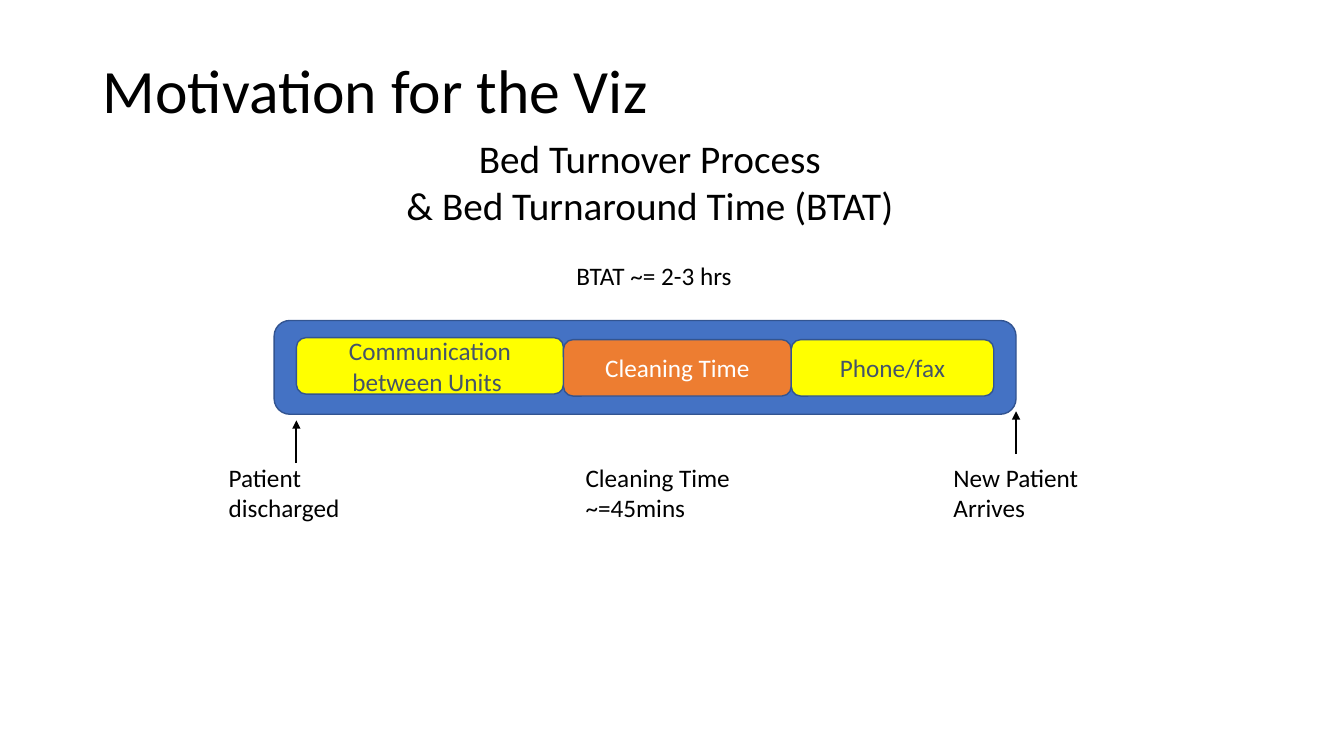
from dataclasses import dataclass

import pptx
import pptx.dml.color
import pptx.enum.shapes
import pptx.enum.text
import pptx.oxml
import pptx.oxml.ns
import pptx.util

ALIGN = pptx.enum.text.PP_ALIGN
ANCHOR = pptx.enum.text.MSO_ANCHOR


@dataclass(frozen=True)
class Theme:
    font: str = "Calibri"
    title_size: int = 44
    headline_size: int = 28
    body_size: int = 18
    ink: str = "000000"
    band: str = "4472C4"
    outline: str = "325491"
    waiting: str = "FFFF00"
    waiting_ink: str = "44546A"
    cleaning: str = "ED7D31"
    cleaning_ink: str = "FFFFFF"


@dataclass(frozen=True)
class Box:
    left: int
    top: int
    width: int
    height: int

    def point(self, across, down):
        return (
            round(self.left + self.width * across / 100),
            round(self.top + self.height * down / 100),
        )

    def region(self, left, top, width, height):
        return Box(
            *self.point(left, top),
            round(self.width * width / 100),
            round(self.height * height / 100),
        )

    def bounds(self):
        return self.left, self.top, self.width, self.height


THEME = Theme()


def color(value):
    return pptx.dml.color.RGBColor.from_string(value)


def write(shape, lines, size, ink, align, anchor):
    frame = shape.text_frame
    frame.word_wrap = True
    frame.vertical_anchor = anchor
    frame.text = "\n".join(lines)
    for paragraph in frame.paragraphs:
        paragraph.alignment = align
        paragraph.font.name = THEME.font
        paragraph.font.size = pptx.util.Pt(size)
        paragraph.font.color.rgb = color(ink)


def add_label(slide, box, lines, size=THEME.body_size, align=ALIGN.LEFT):
    label = slide.shapes.add_textbox(*box.bounds())
    write(label, lines, size, THEME.ink, align, ANCHOR.TOP)


def add_block(slide, box, fill):
    block = slide.shapes.add_shape(
        pptx.enum.shapes.MSO_SHAPE.ROUNDED_RECTANGLE, *box.bounds()
    )
    block.shadow.inherit = False
    block.fill.solid()
    block.fill.fore_color.rgb = color(fill)
    block.line.color.rgb = color(THEME.outline)
    block.line.width = pptx.util.Pt(1)
    return block


def add_arrow(slide, start, end):
    arrow = slide.shapes.add_connector(
        pptx.enum.shapes.MSO_CONNECTOR.STRAIGHT, *start, *end
    )
    arrow.line.color.rgb = color(THEME.ink)
    arrow.line.width = pptx.util.Pt(1.5)
    namespace = pptx.oxml.ns.nsdecls("a")
    head = pptx.oxml.parse_xml(f'<a:tailEnd {namespace} type="triangle"/>')
    effects = pptx.oxml.parse_xml(f"<a:effectLst {namespace}/>")
    properties = arrow._element.spPr
    properties.find(pptx.oxml.ns.qn("a:ln")).append(head)
    properties.append(effects)


def add_title(slide, box):
    title = slide.shapes.title
    title.left, title.top, title.width, title.height = box.bounds()
    write(
        title, ["Motivation for the Viz"], THEME.title_size, THEME.ink,
        ALIGN.LEFT, ANCHOR.MIDDLE,
    )
    title.text_frame.paragraphs[0].line_spacing = 0.9


def add_process_band(slide, box):
    add_block(slide, box, THEME.band)
    stages = [
        ("Communication between Units ", 36, 18.3, THEME.waiting, THEME.waiting_ink),
        ("Cleaning Time", 30.7, 20.4, THEME.cleaning, THEME.cleaning_ink),
        ("Phone/fax", 27.3, 20.4, THEME.waiting, THEME.waiting_ink),
    ]
    left = 3
    for text, width, top, fill, ink in stages:
        stage = add_block(slide, box.region(left, top, width, 60.2), fill)
        write(stage, [text], THEME.body_size, ink, ALIGN.CENTER, ANCHOR.MIDDLE)
        left += width


def add_milestones(slide, box):
    labels = [
        ("Patient discharged", 0, 16.78),
        ("Cleaning Time ~=45mins", 40.97, 28.47),
        ("New Patient Arrives", 83.22, 16.78),
    ]
    for text, left, width in labels:
        add_label(slide, box.region(left, 39.3, width, 60.7), [text])
    for across, tip in [(8.91, 7.7), (91.55, 0)]:
        add_arrow(slide, box.point(across, tip + 36.3), box.point(across, tip))


def add_process_slide(presentation):
    slide = presentation.slides.add_slide(presentation.slide_layouts[5])
    page = Box(0, 0, presentation.slide_width, presentation.slide_height)
    add_title(slide, page.region(6.9, 5.33, 55.4, 14))
    add_process_band(slide, page.region(20.4, 42.4, 55.2, 12.4))
    add_label(slide, page.region(42.15, 33.73, 21.45, 5.33), ["BTAT ~= 2-3 hrs"])
    add_milestones(slide, page.region(16.28, 54.4, 64.8, 15.6))
    add_label(
        slide,
        page.region(19.05, 17.07, 58.6, 39.07),
        ["Bed Turnover Process", "& Bed Turnaround Time (BTAT)"],
        THEME.headline_size,
        ALIGN.CENTER,
    )


def main():
    presentation = pptx.Presentation()
    presentation.slide_width = pptx.util.Inches(13.33)
    presentation.slide_height = pptx.util.Inches(7.5)
    add_process_slide(presentation)
    presentation.save("out.pptx")


if __name__ == "__main__":
    main()
